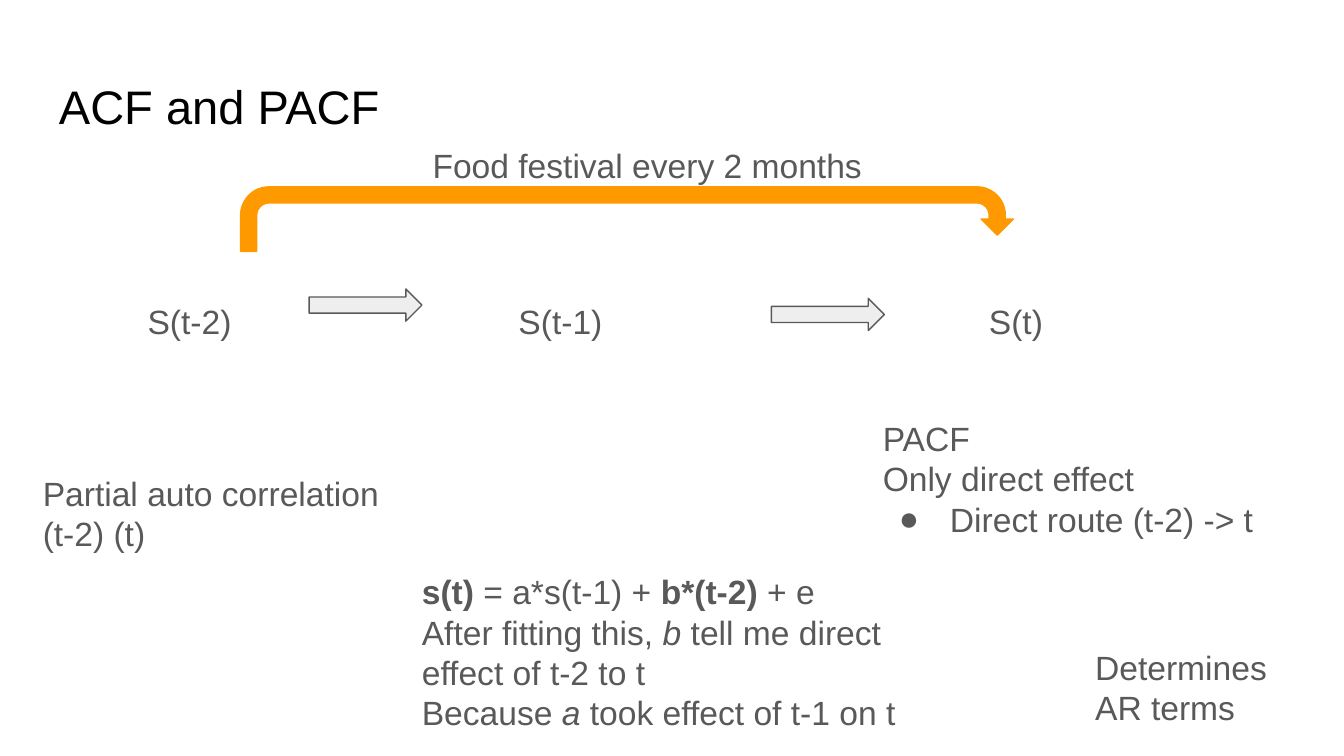
from lxml.etree import SubElement
from pptx import Presentation
from pptx.dml.color import RGBColor
from pptx.enum.shapes import MSO_SHAPE
from pptx.enum.text import MSO_ANCHOR
from pptx.oxml.ns import qn
from pptx.util import Inches, Pt

COLORS = {"title": "000000", "body": "595959", "block": "EEEEEE", "loop": "FF9900"}
FONT = "Arial"
WIDTH = 10
HEIGHT = WIDTH * 9 / 16

TITLE = ("ACF and PACF", (0.34, 0.48, 9.32, 0.63))
STATES = [("S(t-2)", 1), ("S(t-1)", 3.76), ("S(t)", 7.26)]
STEPS = [(2.3, 2.15), (5.74, 2.22)]
LOOP = (1.79, 1.39, 5.75, 0.48)

# A line is a string or a list of (text, style) runs; "• " starts a bullet.
NOTES = [
    (["Partial auto correlation", "(t-2) (t)"], (0.22, 3.42, 3.06, 0.87)),
    (["Food festival every 2 months"], (3.12, 1, 4.09, 0.18)),
    (["PACF", "Only direct effect", "• Direct route (t-2) -> t"],
     (6.47, 3.01, 3.17, 1.84)),
    ([[("s(t)", "b"), (" = a*s(t-1) + ", ""), ("b*(t-2)", "b"), (" + e", "")],
      [("After fitting this, ", ""), ("b", "i"),
       (" tell me direct effect of t-2 to t", "")],
      [("Because ", ""), ("a", "i"), (" took effect of t-1 on t", "")]],
     (3.04, 4.15, 4.25, 0.81)),
    (["Determines AR terms"], (8.05, 4.71, 1.58, 0.81)),
]


def rgb(name):
    return RGBColor.from_string(COLORS[name])


def add_bullet(para, color):
    props = para._p.get_or_add_pPr()
    props.set("marL", str(Inches(0.5)))
    props.set("indent", str(Inches(-0.38)))
    tint = SubElement(props, qn("a:buClr"))
    SubElement(tint, qn("a:srgbClr"), val=COLORS[color])
    SubElement(props, qn("a:buFont"), typeface=FONT)
    SubElement(props, qn("a:buChar"), char="●")


def add_text(slide, lines, box, size=18, color="body"):
    frame = slide.shapes.add_textbox(*map(Inches, box)).text_frame
    frame.word_wrap = True
    frame.vertical_anchor = MSO_ANCHOR.TOP
    frame.margin_left = frame.margin_right = Inches(0.1)
    frame.margin_top = frame.margin_bottom = Inches(0.1)
    for i, line in enumerate(lines):
        para = frame.paragraphs[0] if i == 0 else frame.add_paragraph()
        if isinstance(line, str):
            if line.startswith("• "):
                add_bullet(para, color)
            line = [(line.removeprefix("• "), "")]
        for text, style in line:
            run = para.add_run()
            run.text = text
            font = run.font
            font.name, font.size = FONT, Pt(size)
            font.bold, font.italic = style == "b", style == "i"
            font.color.rgb = rgb(color)


def add_arrow(slide, kind, box, fill, line, adjust):
    arrow = slide.shapes.add_shape(kind, *map(Inches, box))
    arrow.shadow.inherit = False
    arrow.fill.solid()
    arrow.fill.fore_color.rgb = rgb(fill)
    arrow.line.color.rgb = rgb(line)
    arrow.line.width = Pt(0.75)
    for i, value in enumerate(adjust):
        arrow.adjustments[i] = value


def main():
    deck = Presentation()
    deck.slide_width, deck.slide_height = Inches(WIDTH), Inches(HEIGHT)
    slide = deck.slides.add_slide(deck.slide_layouts[6])

    title, box = TITLE
    add_text(slide, [title], box, size=25.2, color="title")
    for name, left in STATES:
        add_text(slide, [name], (left, 2.14, 1.3, 0.87))
    for left, top in STEPS:
        add_arrow(slide, MSO_SHAPE.RIGHT_ARROW, (left, top, 0.84, 0.24),
                  "block", "body", (0.5, 0.5))
    add_arrow(slide, MSO_SHAPE.U_TURN_ARROW, LOOP, "loop", "loop",
              (0.25, 0.25, 0.25, 0.44, 0.75))
    for lines, box in NOTES:
        add_text(slide, lines, box)

    deck.save("out.pptx")


if __name__ == "__main__":
    main()
